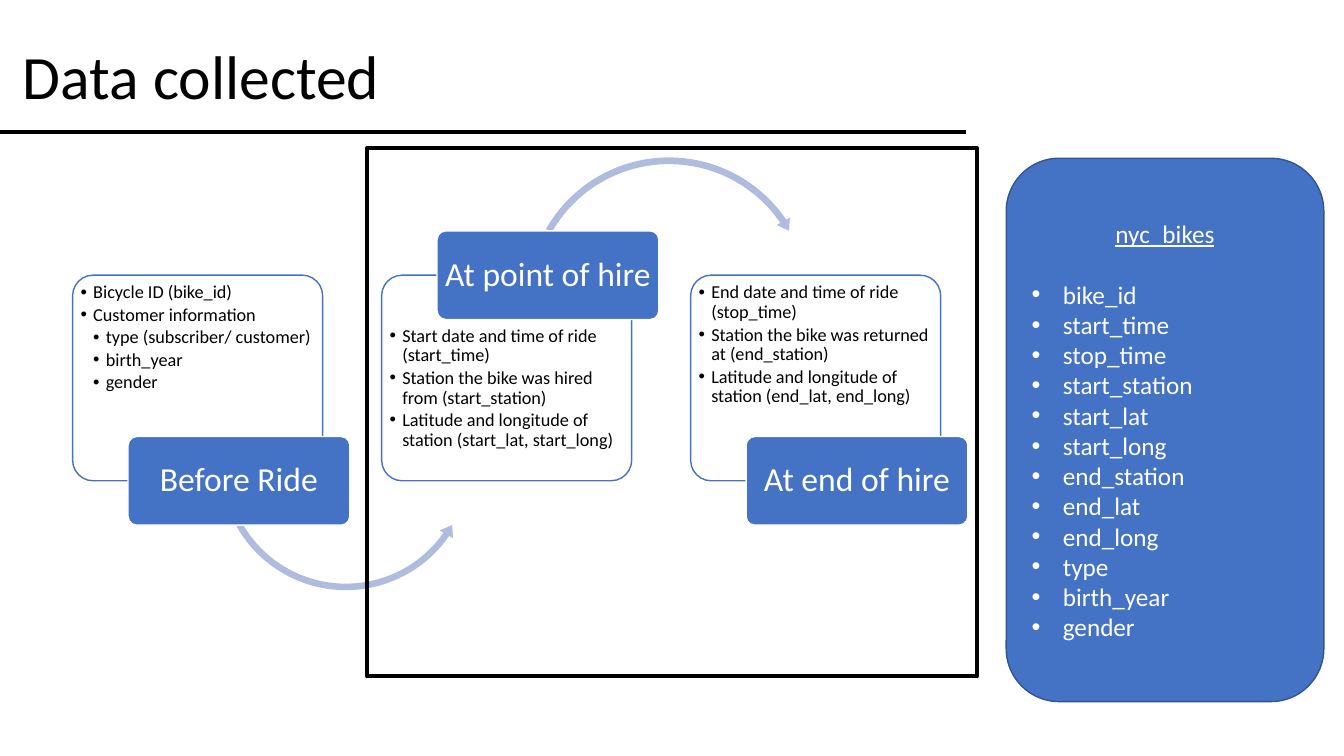
from dataclasses import dataclass

from lxml import etree
from pptx import Presentation
from pptx import util as u
from pptx.dml.color import RGBColor
from pptx.enum import shapes, text
from pptx.oxml.ns import qn


@dataclass(frozen=True)
class Theme:
    font: str = "Calibri"
    black: str = "000000"
    white: str = "FFFFFF"
    blue: str = "4472C4"
    dark_blue: str = "325491"
    pale_blue: str = "B0BCDE"
    title_size: float = 44
    label_size: float = 24
    panel_size: float = 18
    card_size: float = 13


class SlideBuilder:
    def __init__(self, slide, theme):
        self.slide, self.theme = slide, theme

    def shape(self, kind, box, fill=None, line=None, width=1, adjust=(), opacity=None):
        item = self.slide.shapes.add_shape(kind, *map(u.Inches, box))
        item.shadow.inherit = False
        for index, value in enumerate(adjust):
            item.adjustments[index] = value
        if fill:
            item.fill.solid()
            item.fill.fore_color.rgb = RGBColor.from_string(fill)
        else:
            item.fill.background()
        if opacity:
            color = item.fill._xPr.find(qn("a:solidFill"))[0]
            etree.SubElement(color, qn("a:alpha")).set("val", str(opacity * 1000))
        if line:
            item.line.color.rgb = RGBColor.from_string(line)
            item.line.width = u.Pt(width)
        else:
            item.line.fill.background()
        return item

    def frame(self, item, insets=(0.1, 0.05, 0.1, 0.05), anchor=text.MSO_ANCHOR.MIDDLE):
        """Set up wrapping, insets (left, top, right, bottom) and anchor."""
        body = item.text_frame
        body.word_wrap = True
        body.vertical_anchor = anchor
        (body.margin_left, body.margin_top,
         body.margin_right, body.margin_bottom) = map(u.Inches, insets)
        return body

    def paragraph(self, body, words, size, color, align=text.PP_ALIGN.LEFT, indent=None,
                  hang=None, spacing=1.0, after=0, underline=False):
        """Add a paragraph; one with a hang width gets a bullet."""
        first = body.paragraphs[0]
        para = body.add_paragraph() if first.runs else first
        if hang:
            props = para._p.get_or_add_pPr()
            props.set("marL", str(u.Inches(indent)))
            props.set("indent", str(-u.Inches(hang)))
            etree.SubElement(props, qn("a:buFont")).set("typeface", "Arial")
            etree.SubElement(props, qn("a:buChar")).set("char", "•")
        para.alignment = align
        para.line_spacing = spacing
        para.space_after = u.Pt(after)
        run = para.add_run()
        run.text = words
        run.font.name = self.theme.font
        run.font.size = u.Pt(size)
        run.font.color.rgb = RGBColor.from_string(color)
        if underline:
            run.font.underline = True

    def title(self, words, box):
        item = self.slide.shapes.add_textbox(*map(u.Inches, box))
        self.paragraph(self.frame(item), words, self.theme.title_size,
                       self.theme.black, spacing=0.9)

    def card(self, left, top_inset, facts):
        theme = self.theme
        item = self.shape(shapes.MSO_SHAPE.ROUNDED_RECTANGLE, (left, 2.73, 2.48, 2.04),
                          theme.white, theme.blue, adjust=[0.1], opacity=90)
        body = self.frame(item, (0.02, top_inset, 0.02, 0.02), text.MSO_ANCHOR.TOP)
        for level, fact in facts:
            self.paragraph(body, fact, theme.card_size, theme.black,
                           indent=0.125 * level, hang=0.125, spacing=0.9, after=2)

    def label(self, left, top, words):
        theme = self.theme
        item = self.shape(shapes.MSO_SHAPE.ROUNDED_RECTANGLE, (left, top, 2.2, 0.88),
                          theme.blue, theme.white, adjust=[0.1])
        self.paragraph(self.frame(item, (0.05, 0.03, 0.05, 0.03)), words, theme.label_size,
                       theme.white, text.PP_ALIGN.CENTER, spacing=0.9)

    def panel(self, box, heading, columns):
        theme = self.theme
        item = self.shape(shapes.MSO_SHAPE.ROUNDED_RECTANGLE, box, theme.blue, theme.dark_blue)
        body = self.frame(item)
        self.paragraph(body, heading, theme.panel_size, theme.white,
                       text.PP_ALIGN.CENTER, after=22, underline=True)
        for column in columns:
            self.paragraph(body, column, theme.panel_size, theme.white, indent=0.31, hang=0.31)

    def rule(self, start, end, width):
        line = self.slide.shapes.add_connector(
            shapes.MSO_CONNECTOR.STRAIGHT, *map(u.Inches, start + end))
        line.line.color.rgb = RGBColor.from_string(self.theme.black)
        line.line.width = u.Pt(width)
        etree.SubElement(line._element.spPr, qn("a:effectLst"))


# Each stage: label, label top, card top inset, facts with levels, arrow to the next stage
STAGES = [
    ("Before Ride", 4.33, 0.02,
     [(1, "Bicycle ID (bike_id)"), (1, "Customer information"),
      (2, "type (subscriber/ customer)"), (2, "birth_year"), (2, "gender")],
     (shapes.MSO_SHAPE.LEFT_CIRCULAR_ARROW, (2.14, 3.32, 2.58, 2.58),
      (0.025, 3.094, 20.849, 90.245, 0.03))),
    ("At point of hire", 2.29, 0.45,
     [(1, "Start date and time of ride (start_time)"),
      (1, "Station the bike was hired from (start_station)"),
      (1, "Latitude and longitude of station (start_lat, start_long)")],
     (shapes.MSO_SHAPE.CIRCULAR_ARROW, (5.19, 1.52, 2.89, 2.89),
      (0.023, 2.738, 195.507, 125.755, 0.026))),
    ("At end of hire", 4.33, 0.02,
     [(1, "End date and time of ride (stop_time)"),
      (1, "Station the bike was returned at (end_station)"),
      (1, "Latitude and longitude of station (end_lat, end_long)")],
     None),
]
COLUMNS = ["bike_id", "start_time", "stop_time", "start_station", "start_lat", "start_long",
           "end_station", "end_lat", "end_long", "type", "birth_year", "gender"]


def main():
    deck = Presentation()
    deck.slide_width, deck.slide_height = u.Inches(13.33), u.Inches(7.5)
    theme = Theme()
    page = SlideBuilder(deck.slides.add_slide(deck.slide_layouts[6]), theme)

    for index, (name, label_top, top_inset, facts, arrow) in enumerate(STAGES):
        left = 0.72 + 3.065 * index
        page.card(left, top_inset, facts)
        if arrow:
            kind, box, adjust = arrow
            page.shape(kind, box, theme.pale_blue, adjust=adjust)
        page.label(left + 0.55, label_top, name)

    page.panel((9.98, 1.57, 3.15, 5.39), "nyc_bikes", COLUMNS)
    page.title("Data collected", (0.13, 0.06, 6.96, 1.45))
    page.shape(shapes.MSO_SHAPE.RECTANGLE, (3.64, 1.47, 6.05, 5.24), line=theme.black, width=3)
    page.rule((0, 1.31), (9.58, 1.31), 2.25)
    deck.save("out.pptx")


if __name__ == "__main__":
    main()
